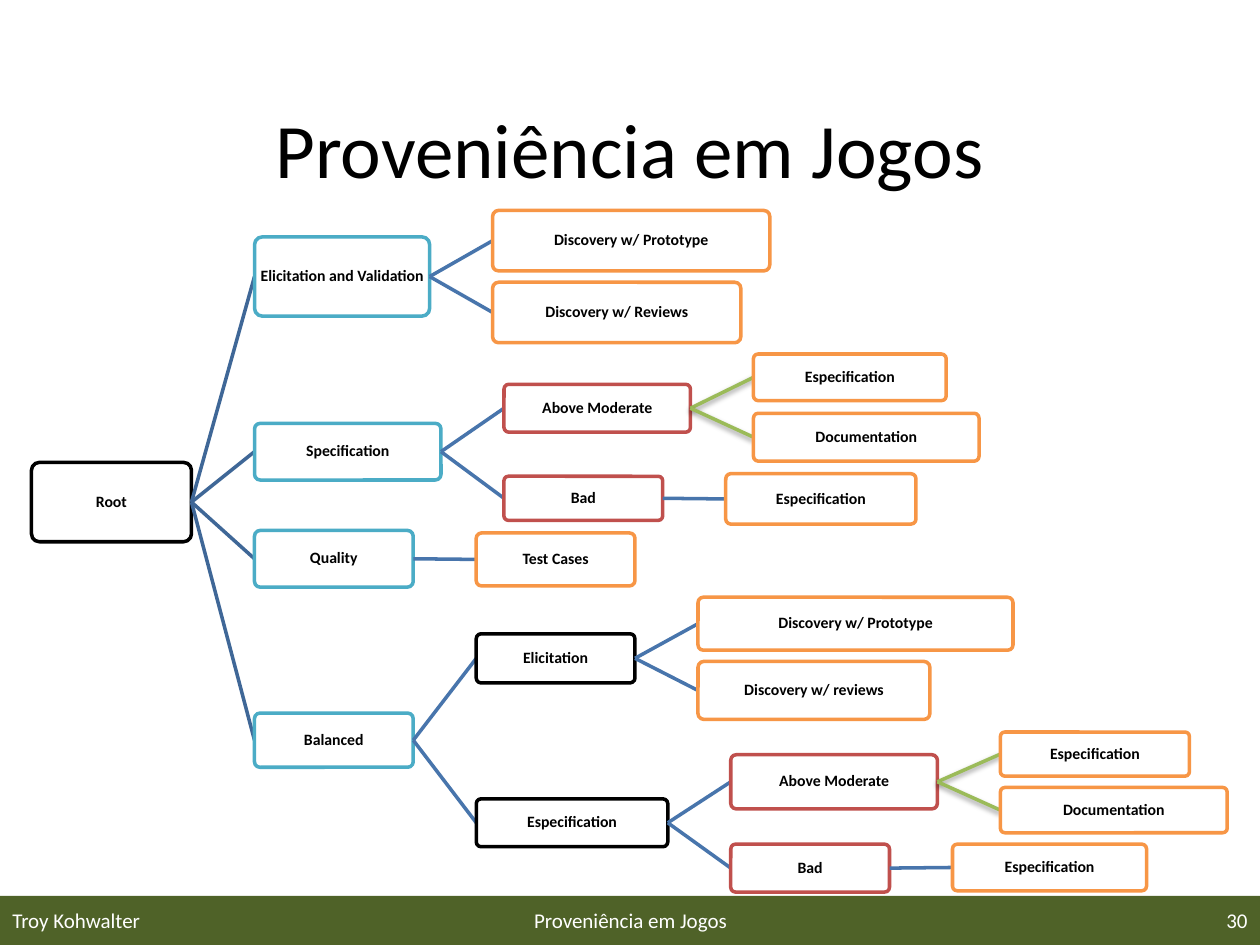
import dataclasses

import lxml.etree
import pptx
import pptx.dml.color
import pptx.enum.shapes
import pptx.enum.text
import pptx.oxml
import pptx.oxml.ns
import pptx.util

Inches = pptx.util.Inches
Pt = pptx.util.Pt
ALIGN = pptx.enum.text.PP_ALIGN
SHAPE = pptx.enum.shapes.MSO_SHAPE
MIDDLE = pptx.enum.text.MSO_ANCHOR.MIDDLE

COLORS = {
    "black": "000000",
    "white": "FFFFFF",
    "footer": "4F6228",
    "teal": "4BACC6",
    "orange": "F79646",
    "red": "C0504D",
    "root_edge": "3F6797",
    "edge": "4875AC",
    "green_edge": "9BBB59",
}
LEVEL_GAP = 0.5
RIGHT_SIDE, LEFT_SIDE = 3, 1


@dataclasses.dataclass
class Node:
    label: str
    color: str
    top: float
    width: float
    height: float
    children: tuple = ()
    edge: str = "edge"

    def middle(self):
        return self.top + self.height / 2


def moderate_branch(moderate, especification, documentation):
    return Node("Above Moderate", "red", *moderate, (
        Node("Especification", "orange", *especification),
        Node("Documentation", "orange", *documentation),
    ), "green_edge")


def bad_branch(bad, especification):
    return Node("Bad", "red", *bad, (
        Node("Especification", "orange", *especification),
    ))


TREE = Node("Root", "black", 3.67, 1.27, 0.63, (
    Node("Elicitation and Validation", "teal", 1.88, 1.39, 0.63, (
        Node("Discovery w/ Prototype", "orange", 1.67, 2.2, 0.48),
        Node("Discovery w/ Reviews", "orange", 2.24, 1.97, 0.48),
    )),
    Node("Specification", "teal", 3.36, 1.48, 0.45, (
        moderate_branch((3.05, 1.48, 0.38), (2.81, 1.53, 0.37), (3.28, 1.79, 0.38)),
        bad_branch((3.78, 1.26, 0.35), (3.76, 1.51, 0.4)),
    )),
    Node("Quality", "teal", 4.21, 1.26, 0.45, (
        Node("Test Cases", "orange", 4.23, 1.26, 0.42),
    )),
    Node("Balanced", "teal", 5.66, 1.26, 0.43, (
        Node("Elicitation", "black", 5.03, 1.26, 0.39, (
            Node("Discovery w/ Prototype", "orange", 4.74, 2.5, 0.42),
            Node("Discovery w/ reviews", "orange", 5.25, 1.84, 0.46),
        )),
        Node("Especification", "black", 6.34, 1.52, 0.38, (
            moderate_branch((5.99, 1.64, 0.43), (5.81, 1.5, 0.35), (6.25, 1.8, 0.36)),
            bad_branch((6.7, 1.26, 0.38), (6.7, 1.54, 0.37)),
        )),
    )),
), "root_edge")


class TreeSlide:
    font = "Calibri"
    line_width = Pt(2)

    def __init__(self, slide):
        self.slide = slide

    def color(self, name):
        return pptx.dml.color.RGBColor.from_string(COLORS[name])

    def set_text(self, frame, text, size, color, align, bold=False):
        frame.word_wrap = True
        frame.vertical_anchor = MIDDLE
        frame.text = text
        paragraph = frame.paragraphs[0]
        paragraph.alignment = align
        paragraph.font.name = self.font
        paragraph.font.size = Pt(size)
        paragraph.font.bold = bold
        paragraph.font.color.rgb = self.color(color)
        return paragraph

    def title(self, text):
        title = self.slide.shapes.title
        title.left, title.top = Inches(0.5), Inches(0.55)
        title.width, title.height = Inches(9), Inches(1.25)
        self.set_text(title.text_frame, text, 44, "black", ALIGN.CENTER)

    def footer_bar(self):
        bar = self.slide.shapes.add_shape(
            SHAPE.RECTANGLE, 0, Inches(7.11), Inches(10), Inches(0.39))
        bar.shadow.inherit = False
        bar.fill.solid()
        bar.fill.fore_color.rgb = self.color("footer")
        bar.line.fill.background()

    def footer_text(self, text, left, width, align):
        label = self.slide.shapes.add_textbox(
            Inches(left), Inches(7.1), Inches(width), Inches(0.4))
        self.set_text(label.text_frame, text, 12, "white", align)

    def box(self, node, left):
        box = self.slide.shapes.add_shape(
            SHAPE.ROUNDED_RECTANGLE, Inches(left), Inches(node.top),
            Inches(node.width), Inches(node.height))
        box.adjustments[0] = 0.1
        box.shadow.inherit = False
        box.fill.solid()
        box.fill.fore_color.rgb = self.color("white")
        box.line.color.rgb = self.color(node.color)
        box.line.width = self.line_width
        frame = box.text_frame
        frame.margin_left = frame.margin_right = Inches(0.01)
        frame.margin_top = frame.margin_bottom = Inches(0.01)
        label = self.set_text(frame, node.label, 9, "black", ALIGN.CENTER, bold=True)
        label.line_spacing = 0.9
        return box

    def edge(self, color, start, end):
        edge = self.slide.shapes.add_connector(
            pptx.enum.shapes.MSO_CONNECTOR.STRAIGHT,
            *(Inches(value) for value in (*start, *end)))
        edge.line.color.rgb = self.color(color)
        edge.line.width = self.line_width
        effects = lxml.etree.SubElement(
            edge._element.spPr, pptx.oxml.ns.qn("a:effectLst"))
        if color == "green_edge":
            effects.append(pptx.oxml.parse_xml(
                f'<a:outerShdw {pptx.oxml.ns.nsdecls("a")} blurRad="{Pt(3.1)}" '
                f'dist="{Pt(1.6)}" dir="5400000" rotWithShape="0">'
                f'<a:srgbClr val="{COLORS["black"]}"><a:alpha val="38000"/></a:srgbClr>'
                '</a:outerShdw>'))
        return edge

    def tree(self, node, left):
        parent_box = self.box(node, left)
        right = left + node.width
        child_left = right + LEVEL_GAP
        for child in node.children:
            edge = self.edge(
                node.edge, (right, node.middle()), (child_left, child.middle()))
            child_box = self.tree(child, child_left)
            edge.begin_connect(parent_box, RIGHT_SIDE)
            edge.end_connect(child_box, LEFT_SIDE)
        return parent_box


def main():
    deck = pptx.Presentation()
    deck.slide_width, deck.slide_height = Inches(10), Inches(7.5)
    page = TreeSlide(deck.slides.add_slide(deck.slide_layouts[5]))
    page.footer_bar()
    page.title("Proveniência em Jogos")
    page.footer_text("Troy Kohwalter", 0, 2.33, ALIGN.LEFT)
    page.footer_text("Proveniência em Jogos", 3.42, 3.17, ALIGN.CENTER)
    page.footer_text("30", 7.67, 2.33, ALIGN.RIGHT)
    page.tree(TREE, 0.25)
    deck.save("out.pptx")


if __name__ == "__main__":
    main()
